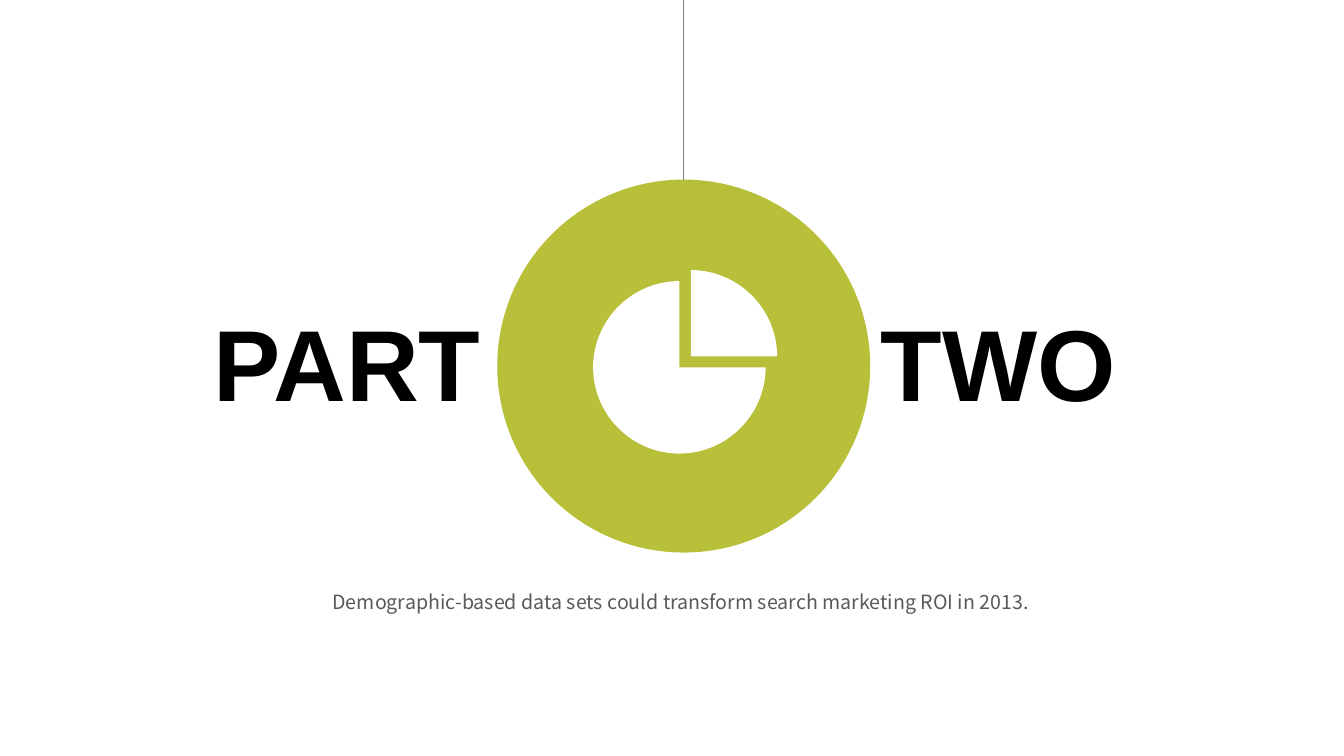
import math
from pptx import Presentation
from pptx.dml.color import RGBColor
from pptx.enum import shapes, text
from pptx.oxml.ns import qn
from pptx.util import Pt
from lxml import etree

SLIDE_SIZE = (960, 540)
GREEN, WHITE, GRAY = "B8C039", "FFFFFF", "808080"
ARC_RATIO = 0.55
DISC = {"left": 355.2, "top": 128.3, "diameter": 266.4}
WEDGES = [
    {"center": (485.3, 262.4), "radius": 61.6, "start": 0, "quarters": 3},
    {"center": (493.4, 254.6), "radius": 61.7, "start": 270, "quarters": 1},
]
HEADING = {"size": Pt(72), "name": "Arial", "bold": True}
CAPTION = {"size": Pt(14), "name": "Noto Sans CJK SC", "bold": False}
PART = ("PART", (145.4, 211, 232.6, 94.3), HEADING, "000000", text.PP_ALIGN.LEFT, True)
TWO = ("TWO", (622.1, 211, 184.3, 94.3), HEADING, "000000", text.PP_ALIGN.LEFT, False)
SUMMARY = (
    "Demographic-based data sets could transform search marketing ROI in 2013.",
    (230.4, 417.8, 729.6, 24.5), CAPTION, "595959", text.PP_ALIGN.JUSTIFY, True,
)


def color(value):
    return RGBColor.from_string(value)


def paint(shape, fill):
    shape.shadow.inherit = False
    shape.fill.solid()
    shape.fill.fore_color.rgb = color(fill)
    shape.line.fill.background()


def write(shape, content):
    words, box, font_format, font_color, alignment, wrap = content
    for name, value in zip(("left", "top", "width", "height"), box):
        setattr(shape, name, Pt(value))
    frame = shape.text_frame
    frame_format = {
        "text": words,
        "word_wrap": wrap,
        "auto_size": text.MSO_AUTO_SIZE.SHAPE_TO_FIT_TEXT,
        "vertical_anchor": text.MSO_ANCHOR.TOP,
    }
    for name, value in frame_format.items():
        setattr(frame, name, value)
    paragraph = frame.paragraphs[0]
    paragraph.alignment = alignment
    for name, value in font_format.items():
        setattr(paragraph.font, name, value)
    paragraph.font.color.rgb = color(font_color)


def add_wedge(group, center, radius, start, quarters):
    center_x, center_y = center
    angles = [math.radians(start + 90 * step) for step in range(quarters + 1)]
    spokes = [(radius * math.cos(angle), radius * math.sin(angle)) for angle in angles]
    anchors = [(Pt(center_x + x), Pt(center_y + y)) for x, y in spokes]
    builder = group.shapes.build_freeform(*anchors[0])
    builder.add_line_segments(anchors[1:] + [(Pt(center_x), Pt(center_y))], close=True)
    wedge = builder.convert_to_shape()
    paint(wedge, WHITE)

    sides = list(wedge.element.iter(qn("a:lnTo")))
    for side, (x1, y1), (x2, y2) in zip(sides, spokes, spokes[1:]):
        side.tag = qn("a:cubicBezTo")
        controls = [(x1 + ARC_RATIO * x2, y1 + ARC_RATIO * y2),
                    (x2 + ARC_RATIO * x1, y2 + ARC_RATIO * y1)]
        for position, (x, y) in enumerate(controls):
            point = etree.Element(qn("a:pt"))
            point.set("x", str(Pt(center_x + x) - wedge.left))
            point.set("y", str(Pt(center_y + y) - wedge.top))
            side.insert(position, point)


def main():
    presentation = Presentation()
    presentation.slide_width, presentation.slide_height = map(Pt, SLIDE_SIZE)
    slide = presentation.slides.add_slide(presentation.slide_layouts[5])

    diameter = Pt(DISC["diameter"])
    disc = slide.shapes.add_shape(
        shapes.MSO_SHAPE.OVAL, Pt(DISC["left"]), Pt(DISC["top"]), diameter, diameter)
    paint(disc, GREEN)
    pie = slide.shapes.add_group_shape()
    for wedge in WEDGES:
        add_wedge(pie, **wedge)

    middle = Pt(DISC["left"] + DISC["diameter"] / 2)
    cord = slide.shapes.add_connector(
        shapes.MSO_CONNECTOR.STRAIGHT, middle, 0, middle, Pt(DISC["top"]))
    cord.end_connect(disc, 0)
    cord.line.color.rgb = color(GRAY)
    cord.line.width = Pt(0.75)
    etree.SubElement(cord.element.spPr, qn("a:effectLst"))

    write(slide.shapes.title, PART)
    for content in (SUMMARY, TWO):
        write(slide.shapes.add_textbox(0, 0, 0, 0), content)

    presentation.save("out.pptx")


if __name__ == "__main__":
    main()
